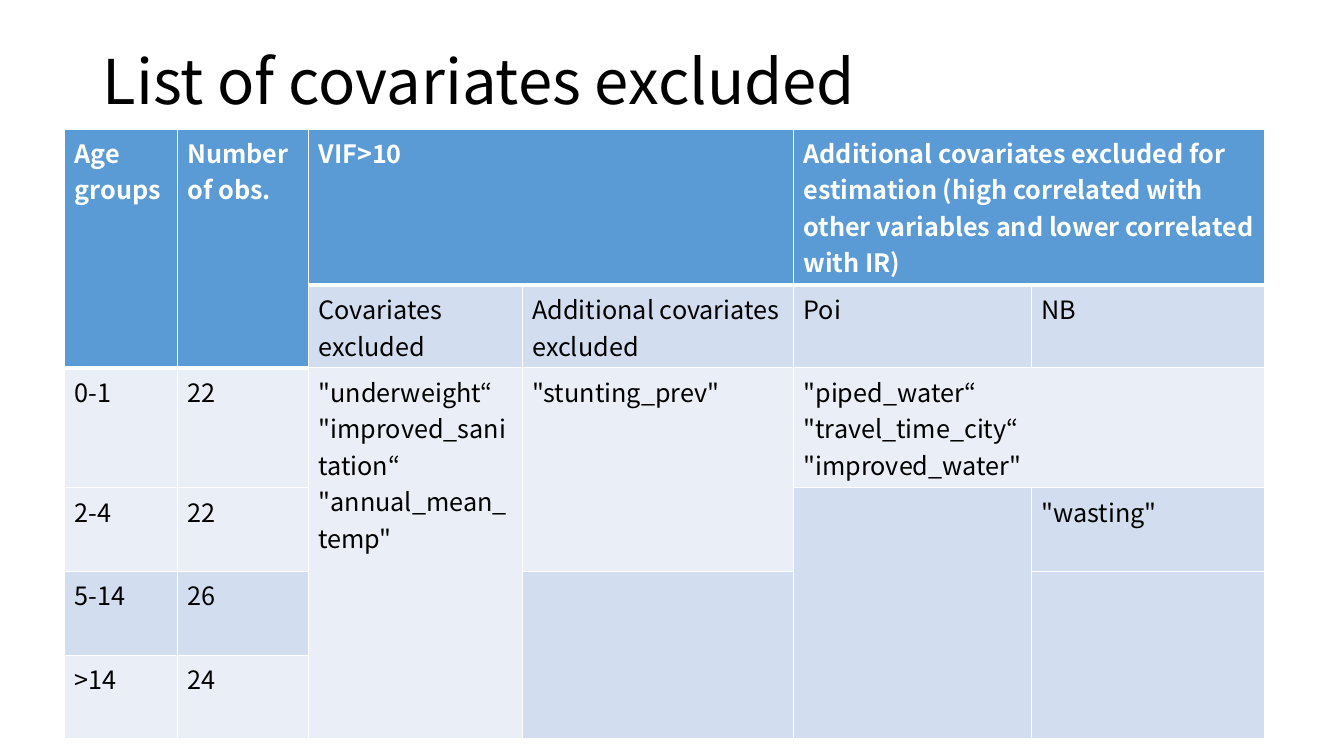
from lxml import etree
from pptx import Presentation
from pptx import util as u
from pptx.dml.color import RGBColor
from pptx.enum import text
from pptx.oxml.ns import qn

THEME = {
    "font": "Noto Sans CJK KR",
    "title_size": 44,
    "body_size": 18,
    "ink": "000000",
    "white": "FFFFFF",
    "header": "5B9BD5",
    "dark": "D2DEEF",
    "light": "EAEFF7",
}

TITLE = "List of covariates excluded"
TITLE_BOX = (0.92, 0.39, 11.5, 0.89)
TABLE_ORIGIN = (0.64, 1.28)
COLUMN_WIDTHS = [1.12, 1.3, 2.12, 2.69, 2.36, 2.31]
# The fourth row has no height: it only lets merged cells end at different rows.
ROW_HEIGHTS = [1.55, 0.82, 1.19, 0, 0.83, 0.83, 0.83]

# row, column, rows spanned, columns spanned, fill, paragraphs
CELLS = [
    (0, 0, 2, 1, "header", ["Age groups"]),
    (0, 1, 2, 1, "header", ["Number of obs."]),
    (0, 2, 1, 2, "header", ["VIF>10"]),
    (0, 4, 1, 2, "header", ["Additional covariates excluded for estimation (high correlated "
                            "with other variables and lower correlated with IR)"]),
    (1, 2, 1, 1, "dark", ["Covariates excluded"]),
    (1, 3, 1, 1, "dark", ["Additional covariates excluded"]),
    (1, 4, 1, 1, "dark", ["Poi"]),
    (1, 5, 1, 1, "dark", ["NB"]),
    (2, 0, 2, 1, "light", ["0-1"]),
    (2, 1, 2, 1, "light", ["22"]),
    (2, 2, 5, 1, "light", ['"underweight“', '"improved_sanitation“', '"annual_mean_temp"']),
    (2, 3, 3, 1, "light", ['"stunting_prev"']),
    (2, 4, 1, 2, "light", ['"piped_water“', '"travel_time_city“', '"improved_water"']),
    (3, 4, 4, 1, "dark", []),
    (3, 5, 2, 1, "dark", ['"wasting"']),
    (4, 0, 1, 1, "light", ["2-4"]),
    (4, 1, 1, 1, "light", ["22"]),
    (5, 0, 1, 1, "dark", ["5-14"]),
    (5, 1, 1, 1, "dark", ["26"]),
    (5, 3, 2, 1, "dark", []),
    (5, 5, 2, 1, "dark", []),
    (6, 0, 1, 1, "light", [">14"]),
    (6, 1, 1, 1, "light", ["24"]),
]


def color(name):
    return RGBColor.from_string(THEME[name])


def add_span(para, words, size, ink, bold=False):
    span = para.add_run()
    span.text = words
    span.font.name = THEME["font"]
    span.font.size = u.Pt(THEME[size])
    span.font.color.rgb = color(ink)
    span.font.bold = bold


def set_borders(cell, bottom):
    """White lines on all four sides; they must come before the fill."""
    properties = cell._tc.get_or_add_tcPr()
    widths = {"a:lnL": 1, "a:lnR": 1, "a:lnT": 1, "a:lnB": bottom}
    for tag, points in widths.items():
        line = etree.SubElement(properties, qn(tag), w=str(u.Pt(points)))
        fill = etree.SubElement(line, qn("a:solidFill"))
        etree.SubElement(fill, qn("a:srgbClr"), val=THEME["white"])


def add_title(page):
    box = page.shapes.add_textbox(*map(u.Inches, TITLE_BOX))
    frame = box.text_frame
    frame.word_wrap = True
    frame.vertical_anchor = text.MSO_ANCHOR.MIDDLE
    para = frame.paragraphs[0]
    para.line_spacing = 0.9
    add_span(para, TITLE, "title_size", "ink")


def add_covariate_table(page):
    size = (sum(COLUMN_WIDTHS), sum(ROW_HEIGHTS))
    table = page.shapes.add_table(len(ROW_HEIGHTS), len(COLUMN_WIDTHS),
                                  *map(u.Inches, TABLE_ORIGIN + size)).table
    for column, width in zip(table.columns, COLUMN_WIDTHS):
        column.width = u.Inches(width)
    for row, height in zip(table.rows, ROW_HEIGHTS):
        row.height = u.Inches(height)

    for top, left, rows, columns, fill, lines in CELLS:
        cell = table.cell(top, left)
        if rows * columns > 1:
            cell.merge(table.cell(top + rows - 1, left + columns - 1))
        is_header = fill == "header"
        set_borders(cell, bottom=3 if is_header else 1)
        cell.fill.solid()
        cell.fill.fore_color.rgb = color(fill)
        frame = cell.text_frame
        for index, line in enumerate(lines):
            para = frame.add_paragraph() if index else frame.paragraphs[0]
            add_span(para, line, "body_size", "white" if is_header else "ink", is_header)


def main():
    deck = Presentation()
    deck.slide_width = u.Inches(13.33)
    deck.slide_height = u.Inches(7.5)
    page = deck.slides.add_slide(deck.slide_layouts[6])
    add_title(page)
    add_covariate_table(page)
    deck.save("out.pptx")


if __name__ == "__main__":
    main()
